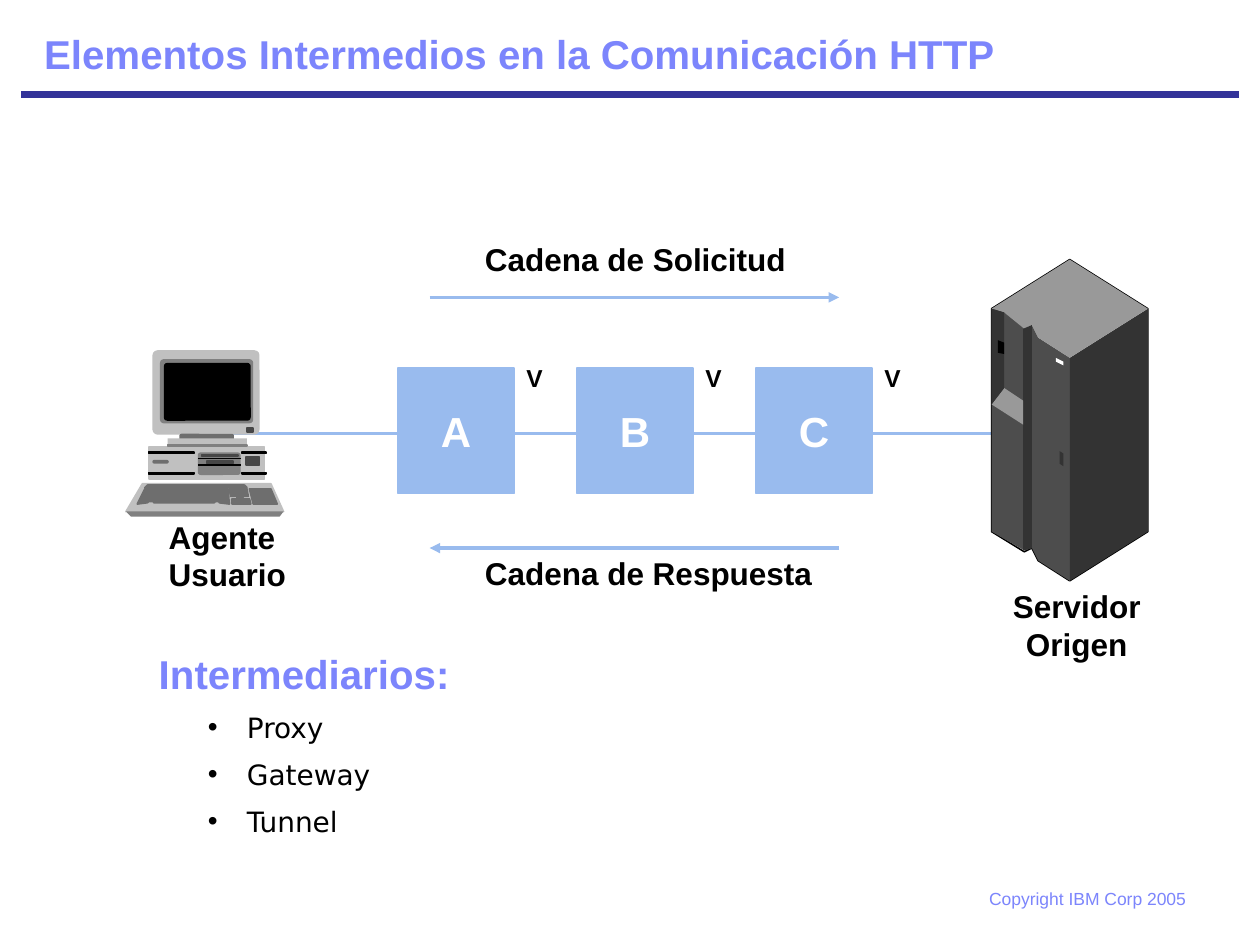
from dataclasses import dataclass

from lxml.etree import SubElement
from pptx import Presentation
from pptx.dml.color import RGBColor
from pptx.enum.shapes import MSO_CONNECTOR, MSO_SHAPE
from pptx.enum.text import MSO_ANCHOR, MSO_AUTO_SIZE, PP_ALIGN
from pptx.oxml.ns import qn
from pptx.util import Inches, Pt


@dataclass(frozen=True)
class Theme:
    font: str = "Arial"
    list_font: str = "DejaVu Sans"
    accent: str = "7C85FC"
    rule: str = "333399"
    chain: str = "99BBEE"
    black: str = "000000"
    white: str = "FFFFFF"
    # Greys of the equipment drawings
    case: str = "C0C0C0"
    trim: str = "808080"
    keys: str = "6E6E6E"
    detail: str = "464646"
    cabinet_top: str = "999999"
    cabinet_front: str = "4D4D4D"
    cabinet_side: str = "333333"
    # Type sizes in points
    heading_size: int = 23
    node_size: int = 24
    label_size: int = 18
    list_size: int = 16
    version_size: int = 14
    footer_size: int = 10


THEME = Theme()


# Shared drawing helpers; lengths are in inches
def style_paragraph(paragraph, size, color, bold=True, font=THEME.font, align=PP_ALIGN.LEFT):
    paragraph.alignment = align
    paragraph.space_before = Pt(0)
    paragraph.font.name = font
    paragraph.font.size = Pt(size)
    paragraph.font.bold = bold
    paragraph.font.color.rgb = RGBColor.from_string(color)


def paint(shape, fill=None, line=None, width=1):
    shape.shadow.inherit = False
    if fill:
        shape.fill.solid()
        shape.fill.fore_color.rgb = RGBColor.from_string(fill)
    else:
        shape.fill.background()
    if line:
        shape.line.color.rgb = RGBColor.from_string(line)
        shape.line.width = Pt(width)
    else:
        shape.line.fill.background()


def add_line(shapes, start, end, color, width, arrow=False):
    line = shapes.add_connector(MSO_CONNECTOR.STRAIGHT, *map(Inches, start + end))
    line.line.color.rgb = RGBColor.from_string(color)
    line.line.width = Pt(width)
    properties = line._element.spPr
    if arrow:
        SubElement(properties.find(qn("a:ln")), qn("a:tailEnd"), type="triangle")
    SubElement(properties, qn("a:effectLst"))


def add_block(shapes, box, fill, line=None, width=1, radius=None):
    kind = MSO_SHAPE.RECTANGLE if radius is None else MSO_SHAPE.ROUNDED_RECTANGLE
    shape = shapes.add_shape(kind, *map(Inches, box))
    if radius is not None:
        shape.adjustments[0] = radius
    paint(shape, fill, line, width)
    return shape


def add_polygon(shapes, left, top, points, fill=None, line=None, width=1):
    corners = [(Inches(left + x), Inches(top + y)) for x, y in points]
    builder = shapes.build_freeform(*corners[0])
    builder.add_line_segments(corners[1:], close=True)
    paint(builder.convert_to_shape(), fill, line, width)


def add_label(slide, box, text, size, color=THEME.black, bold=True, align=PP_ALIGN.LEFT):
    frame = slide.shapes.add_textbox(*map(Inches, box)).text_frame
    frame.word_wrap = False
    frame.text = text
    for paragraph in frame.paragraphs:
        style_paragraph(paragraph, size, color, bold, align=align)


def place(placeholder, box, anchor):
    placeholder.left, placeholder.top, placeholder.width, placeholder.height = map(Inches, box)
    frame = placeholder.text_frame
    frame.auto_size = MSO_AUTO_SIZE.NONE
    frame.vertical_anchor = anchor
    return frame


# Title over a full-width rule
def build_header(slide, left, top, width, height):
    frame = place(slide.shapes.title, (left, top, width, height), MSO_ANCHOR.MIDDLE)
    frame.text = "Elementos Intermedios en la Comunicación HTTP"
    style_paragraph(frame.paragraphs[0], THEME.heading_size, THEME.accent)
    rule_y = top + height + 0.08
    add_line(slide.shapes, (0.17, rule_y), (9.83, rule_y), THEME.rule, 4.5)


# Request and response arrows, and the link through nodes A, B and C
def build_chain(slide, left, top, width, height):
    right, bottom = left + width, top + height
    node_width, node_height, step = 0.92, 1, 1.42
    first_node, node_top = left - 0.25, top + 0.56
    link_y = top + 1.08
    add_line(slide.shapes, (left, top), (right, top), THEME.chain, 2, arrow=True)
    add_line(slide.shapes, (right, bottom), (left, bottom), THEME.chain, 2, arrow=True)
    add_line(slide.shapes, (1.85, link_y), (8.35, link_y), THEME.chain, 2)
    add_label(slide, (left + 0.34, top - 0.5, 2.59, 0.4), "Cadena de Solicitud", THEME.label_size)
    add_label(slide, (left + 0.34, bottom, 2.8, 0.4), "Cadena de Respuesta", THEME.label_size)
    for index, name in enumerate("ABC"):
        x = first_node + index * step
        node = add_block(slide.shapes, (x, node_top, node_width, node_height),
                         THEME.chain, THEME.chain, 0.75)
        node.text_frame.text = name
        node.text_frame.vertical_anchor = MSO_ANCHOR.MIDDLE
        style_paragraph(node.text_frame.paragraphs[0], THEME.node_size, THEME.white,
                        align=PP_ALIGN.CENTER)
        add_label(slide, (x + node_width, node_top - 0.09, 0.33, 0.34), "V", THEME.version_size)


# Server cabinet with its caption
def build_server(slide, left, top, width, height):
    middle, edge = width / 2, 0.39
    shoulder, base = 2 * edge, height - edge
    faces = [
        ([(middle, shoulder), (0.37, 0.62), (0.32, 0.52), (0.26, 0.55), (0.12, 0.4), (0, edge),
          (0, base), (0.26, 2.31), (0.32, 2.29), (0.37, 2.39), (middle, height)],
         THEME.cabinet_front),
        ([(width, edge), (middle, shoulder), (middle, height), (width, base)], THEME.cabinet_side),
        ([(0.57, 1.54), (0.54, 1.52), (0.54, 1.62), (0.57, 1.64)], THEME.cabinet_side),
        ([(0.57, 0.81), (0.51, 0.78), (0.51, 0.81), (0.57, 0.84)], THEME.white),
        ([(0.37, 0.62), (middle, shoulder), (width, edge), (middle, 0), (0, edge), (0.1, 0.42),
          (0.26, 0.55), (0.32, 0.52)], THEME.cabinet_top),
        ([(0.32, 0.52), (0.25, 0.55), (0.25, 2.31), (0.32, 2.29)], THEME.cabinet_side),
        ([(0.25, 1.31), (0.25, 1.12), (0.1, 1.02), (0, 1.15)], THEME.cabinet_top),
        ([(0, edge), (0, 1.15), (0.1, 1.02), (0.1, 0.42)], THEME.cabinet_side),
        ([(0.1, 0.75), (0.1, 0.66), (0.05, 0.64), (0.05, 0.74)], THEME.black),
    ]
    outline = [(middle, 0), (width, edge), (width, base), (middle, height), (0.37, 2.39),
               (0.32, 2.29), (0.26, 2.32), (0, base), (0, edge)]
    shapes = slide.shapes.add_group_shape().shapes
    add_polygon(shapes, left, top, outline, line=THEME.black, width=0.88)
    for points, fill in faces:
        add_polygon(shapes, left, top, points, fill)
    add_label(slide, (left + 0.02, top + height, 1.31, 0.7), "Servidor\nOrigen",
              THEME.label_size, align=PP_ALIGN.CENTER)


# Desktop computer with its caption
def build_computer(slide, left, top, width, height):
    shapes = slide.shapes.add_group_shape().shapes
    # Each block: box, fill, outlined or not, corner radius
    blocks = [
        ((0.18, 0.77, 0.92, 0.25), THEME.case, True, None),
        ((0.21, 0.87, 0.13, 0.03), THEME.keys, False, 0.5),
        ((0.57, 0.81, 0.34, 0.18), THEME.trim, False, 0.13),
        ((0.21, 0, 0.85, 0.67), THEME.case, False, 0.06),
        ((0.27, 0.07, 0.74, 0.51), THEME.trim, False, 0.06),
        ((0.3, 0.1, 0.69, 0.46), THEME.black, False, 0.06),
        *[((x, y, w, 0.01), THEME.black, True, None)
          for x, w in ((0.18, 0.36), (0.92, 0.19)) for y in (0.81, 0.97)],
        ((0.6, 0.83, 0.29, 0.01), THEME.detail, True, None),
        ((0.64, 0.88, 0.21, 0.02), THEME.detail, True, None),
        ((0.95, 0.85, 0.11, 0.06), THEME.detail, True, None),
        ((0.43, 0.67, 0.42, 0.06), THEME.keys, True, 0.17),
        ((0.96, 0.62, 0.05, 0.03), THEME.detail, True, None),
        ((0.33, 0.7, 0.63, 0.05), THEME.case, False, None),
        ((0.33, 0.75, 0.63, 0.01), THEME.trim, True, None),
    ]
    for (x, y, w, h), fill, outlined, radius in blocks:
        add_block(shapes, (left + x, top + y, w, h), fill, fill if outlined else None, 1, radius)
    for y in (0.86, 0.91):
        add_line(shapes, (left + 0.57, top + y), (left + 0.91, top + y), THEME.black, 1)
    # Keyboard: body, front edge and key areas
    add_polygon(shapes, left, top, [(0.13, 1.06), (1.15, 1.06), (width, 1.28), (0, 1.28)],
                THEME.case, THEME.case)
    add_polygon(shapes, left, top, [(width, 1.28), (1.22, height), (0.04, height), (0, 1.28)],
                THEME.trim)
    key_areas = [
        [(0.15, 1.09), (0.96, 1.09), (0.94, 1.07), (0.17, 1.07)],
        [(0.81, 1.1), (0.82, 1.22), (0.74, 1.21), (0.74, 1.2), (0.71, 1.2), (0.7, 1.21),
         (0.22, 1.21), (0.22, 1.2), (0.18, 1.2), (0.17, 1.21), (0.09, 1.22), (0.15, 1.1)],
        [(0.82, 1.1), (0.83, 1.16), (0.97, 1.16), (0.96, 1.1)],
        [(0.88, 1.18), (0.84, 1.18), (0.84, 1.22), (0.99, 1.22), (0.98, 1.18), (0.93, 1.18),
         (0.93, 1.17), (0.88, 1.16)],
        [(1.01, 1.22), (1.2, 1.22), (1.15, 1.1), (0.98, 1.1)],
    ]
    for points in key_areas:
        add_polygon(shapes, left, top, points, THEME.keys, THEME.keys)
    add_label(slide, (left + 0.24, top + 1.28, 1.13, 0.7), "Agente\nUsuario", THEME.label_size)


# Heading with the bulleted intermediaries
def build_list(slide, left, top, width, height):
    frame = place(slide.placeholders[1], (left, top, width, height), MSO_ANCHOR.TOP)
    frame.text = "Intermediarios:\nProxy\nGateway\nTunnel"
    heading, *items = frame.paragraphs
    properties = heading._p.get_or_add_pPr()
    properties.set("marL", "0")
    properties.set("indent", "0")
    SubElement(properties, qn("a:buNone"))
    style_paragraph(heading, THEME.heading_size, THEME.accent)
    for item in items:
        item.level = 1
        item.line_spacing = 1.4
        properties = item._p.get_or_add_pPr()
        properties.set("marL", str(Inches(0.7)))
        properties.set("indent", str(Inches(-0.31)))
        SubElement(properties, qn("a:buFont"), typeface=THEME.font)
        SubElement(properties, qn("a:buChar"), char="•")
        style_paragraph(item, THEME.list_size, THEME.black, False, THEME.list_font)


def main():
    presentation = Presentation()
    presentation.slide_width, presentation.slide_height = Inches(10), Inches(7.5)
    slide = presentation.slides.add_slide(presentation.slide_layouts[1])
    build_header(slide, 0.25, 0.17, 8.08, 0.5)
    build_chain(slide, 3.41, 2.36, 3.25, 1.99)
    build_server(slide, 7.87, 2.06, 1.24, 2.55)
    build_computer(slide, 1, 2.78, 1.25, 1.32)
    build_list(slide, 1.16, 5.1, 2.7, 1.6)
    add_label(slide, (7.75, 7, 1.76, 0.27), "Copyright IBM Corp 2005",
              THEME.footer_size, THEME.accent, False, PP_ALIGN.RIGHT)
    presentation.save("out.pptx")


if __name__ == "__main__":
    main()
